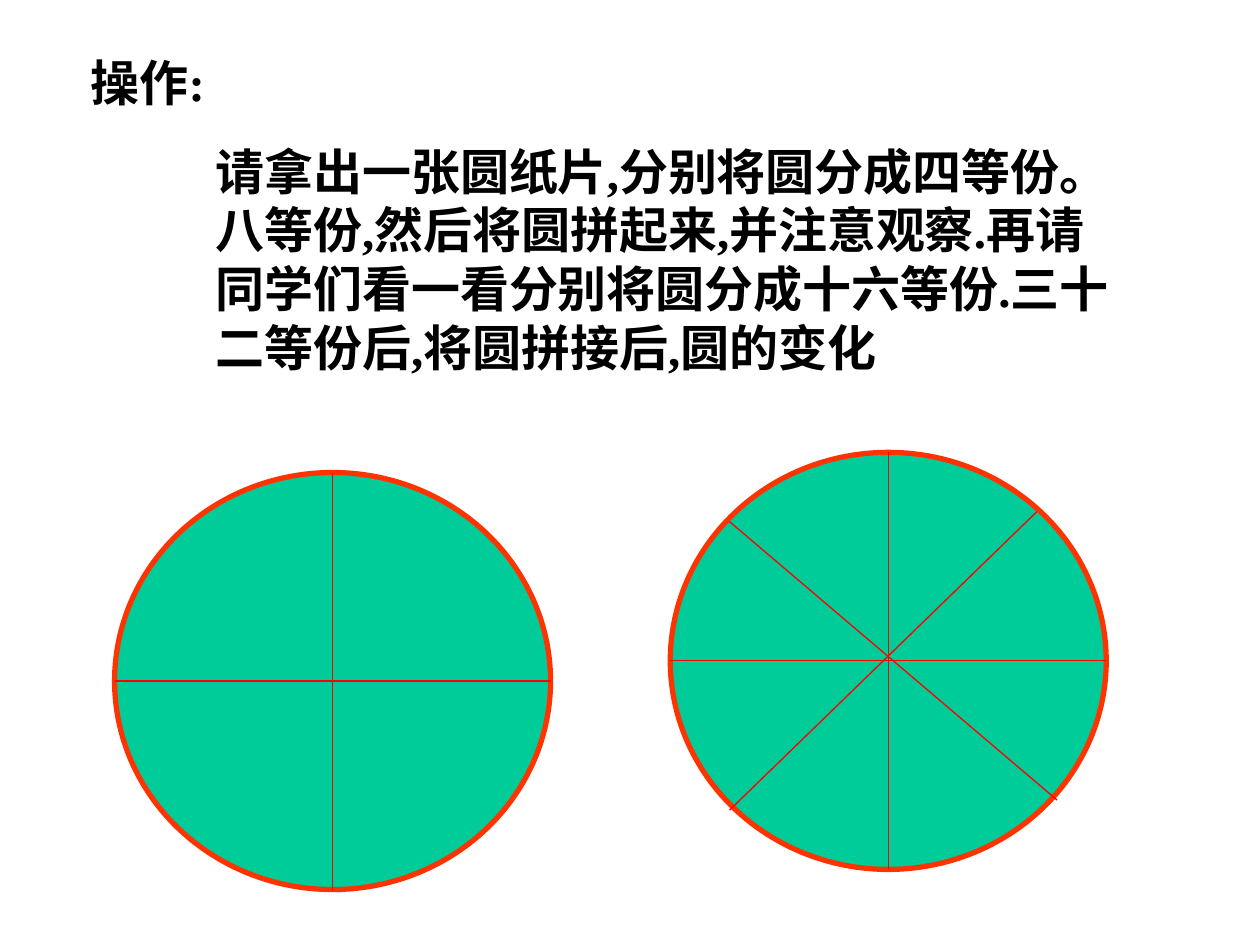
from dataclasses import dataclass

from lxml import etree
from pptx import Presentation
from pptx.dml.color import RGBColor
from pptx.enum import shapes, text
from pptx.oxml import ns
from pptx.util import Inches, Pt


@dataclass(frozen=True)
class Theme:
    ink: RGBColor = RGBColor(0x00, 0x00, 0x00)
    paper: RGBColor = RGBColor(0x00, 0xCC, 0x99)
    rim: RGBColor = RGBColor(0xFF, 0x33, 0x00)
    cut: RGBColor = RGBColor(0xFF, 0x00, 0x00)
    font: str = "Times New Roman"
    size: int = 28
    rim_width: float = 3
    cut_width: float = 0.75


THEME = Theme()


def write_text(holder, wording, *, at, wrap=True, size=THEME.size, bold=True,
               color=THEME.ink):
    """Place a placeholder and fill it with one plain paragraph."""
    holder.left, holder.top, holder.width, holder.height = map(Inches, at)
    frame = holder.text_frame
    frame.text = wording
    frame.word_wrap = wrap
    frame.auto_size = text.MSO_AUTO_SIZE.SHAPE_TO_FIT_TEXT
    frame.vertical_anchor = text.MSO_ANCHOR.TOP

    paragraph = frame.paragraphs[0]
    paragraph.alignment = text.PP_ALIGN.LEFT
    paragraph.space_before = Pt(0)
    properties = paragraph._p.get_or_add_pPr()
    # No indent, bullet or punctuation hanging past the right edge
    for name in ("marL", "indent", "hangingPunct"):
        properties.set(name, "0")
    etree.SubElement(properties, ns.qn("a:buNone"))

    font = paragraph.runs[0].font
    font.name, font.size, font.bold = THEME.font, Pt(size), bold
    font.color.rgb = color


def add_cut(group, start, end):
    """Draw one straight cut across a paper circle."""
    cut = group.shapes.add_connector(
        shapes.MSO_CONNECTOR.STRAIGHT, *map(Inches, (*start, *end)))
    cut.line.color.rgb = THEME.cut
    cut.line.width = Pt(THEME.cut_width)
    etree.SubElement(cut._element.spPr, ns.qn("a:effectLst"))


def add_paper_circle(slide, left, top, width, height, diagonals=()):
    """Draw a circle cut into quarters, and further along any diagonals."""
    group = slide.shapes.add_group_shape()
    circle = group.shapes.add_shape(
        shapes.MSO_SHAPE.OVAL, *map(Inches, (left, top, width, height)))
    circle.shadow.inherit = False
    circle.fill.solid()
    circle.fill.fore_color.rgb = THEME.paper
    circle.line.color.rgb = THEME.rim
    circle.line.width = Pt(THEME.rim_width)

    middle_x, middle_y = left + width / 2, top + height / 2
    add_cut(group, (left, middle_y), (left + width, middle_y))
    add_cut(group, (middle_x, top), (middle_x, top + height))
    for start, end in diagonals:
        add_cut(group, start, end)


def main():
    deck = Presentation()
    deck.slide_width, deck.slide_height = Inches(10), Inches(7.5)
    slide = deck.slides.add_slide(deck.slide_layouts[1])

    # Heading and instructions
    write_text(slide.shapes.title, "操作:", at=(0.62, 0.37, 1.2, 0.57), wrap=False)
    write_text(
        slide.placeholders[1],
        "请拿出一张圆纸片,分别将圆分成四等份。八等份,然后将圆拼起来,并注意观察."
        "再请同学们看一看分别将圆分成十六等份.三十二等份后,将圆拼接后,圆的变化",
        at=(1.61, 1.07, 7.32, 1.97))

    # Circle in four parts, then circle in eight
    add_paper_circle(slide, 0.91, 3.75, 3.46, 3.31)
    add_paper_circle(slide, 5.32, 3.59, 3.46, 3.31, diagonals=(
        ((5.79, 4.14), (8.39, 6.35)),
        ((8.23, 4.06), (5.79, 6.43)),
    ))

    deck.save("out.pptx")


if __name__ == "__main__":
    main()
